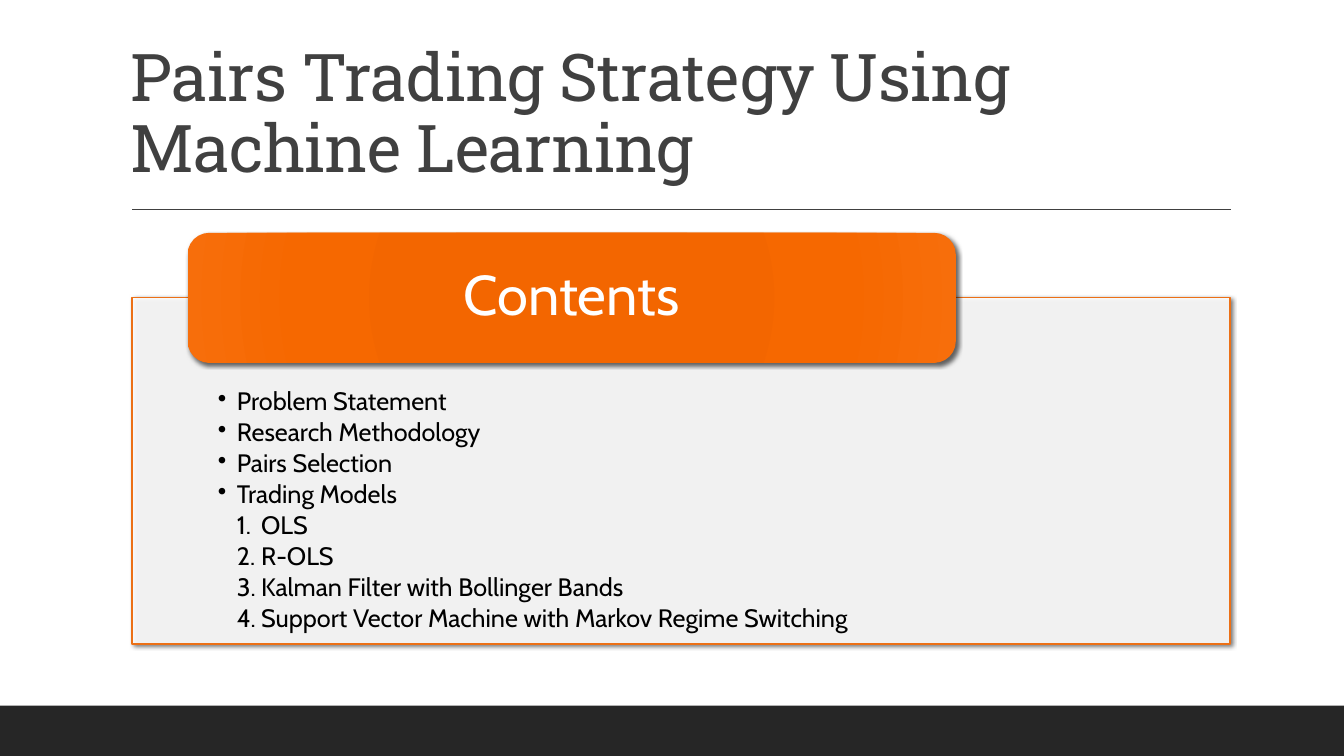
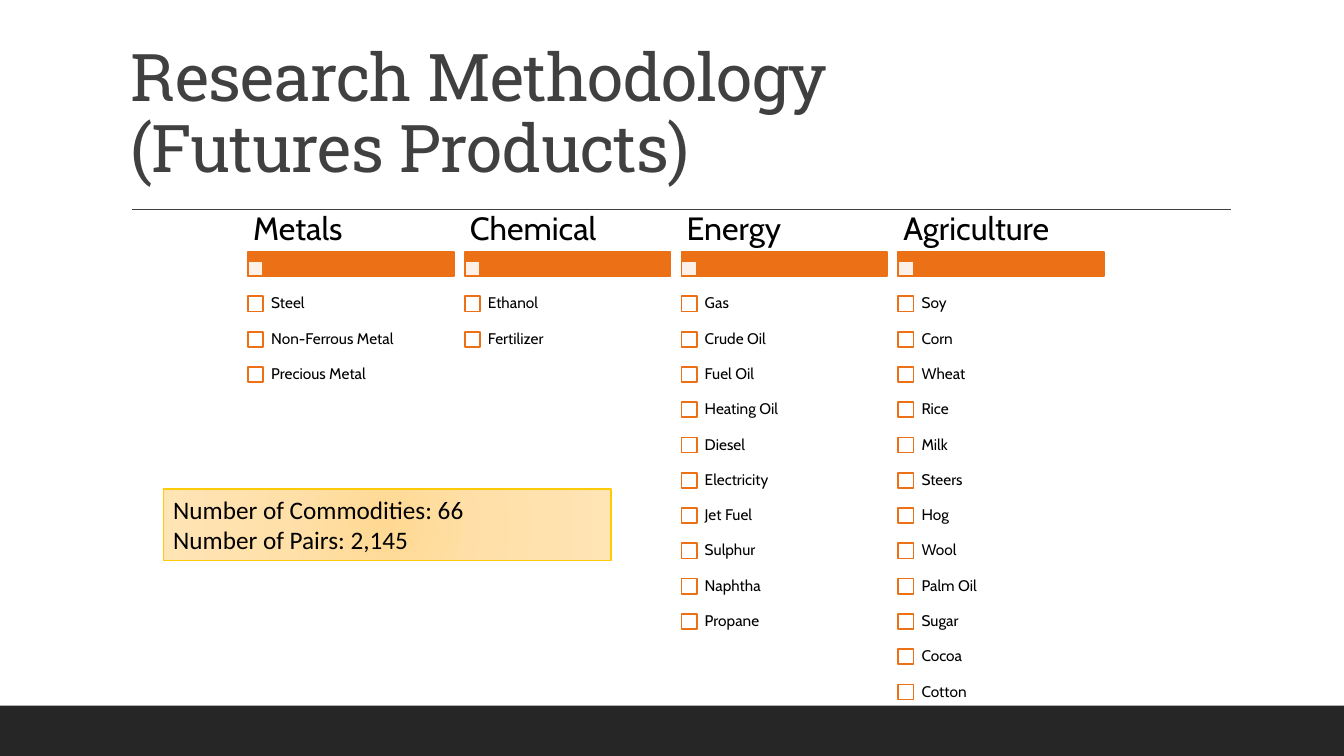
from dataclasses import dataclass

from lxml import etree
from pptx import Presentation
from pptx.dml.color import RGBColor
from pptx.enum.shapes import MSO_CONNECTOR, MSO_SHAPE
from pptx.enum.text import MSO_ANCHOR
from pptx.oxml.ns import qn
from pptx.util import Inches, Pt

RECT = MSO_SHAPE.RECTANGLE
ROUND = MSO_SHAPE.ROUNDED_RECTANGLE
STRAIGHT = MSO_CONNECTOR.STRAIGHT
TOP, MIDDLE, BOTTOM = MSO_ANCHOR.TOP, MSO_ANCHOR.MIDDLE, MSO_ANCHOR.BOTTOM


@dataclass(frozen=True)
class Theme:
    """Colours, fonts and type sizes of the deck."""
    white: str = "FFFFFF"
    black: str = "000000"
    band: str = "262626"
    title: str = "404040"
    accent: str = "EC7016"
    gold: str = "FFCA08"
    flame: tuple = ((0, "F06500"), (34, "F36600"), (70, "F66800"), (100, "F76E0B"))
    sand: tuple = ((0, "FFD993"), (45, "FFE0A9"), (100, "FFE4B4"))
    head_font: str = "Roboto Slab"
    body_font: str = "Cabin"
    note_font: str = "Calibri"
    title_size: int = 47
    label_size: int = 40
    group_size: int = 23
    body_size: int = 18
    item_size: int = 11


THEME = Theme()

TOPICS = ["Problem Statement", "Research Methodology", "Pairs Selection", "Trading Models"]
MODELS = ["OLS", "R-OLS", "Kalman Filter with Bollinger Bands",
          "Support Vector Machine with Markov Regime Switching"]
GOODS = {
    "Metals": ["Steel", "Non-Ferrous Metal", "Precious Metal"],
    "Chemical": ["Ethanol", "Fertilizer"],
    "Energy": ["Gas", "Crude Oil", "Fuel Oil", "Heating Oil", "Diesel", "Electricity",
               "Jet Fuel", "Sulphur", "Naphtha", "Propane"],
    "Agriculture": ["Soy", "Corn", "Wheat", "Rice", "Milk", "Steers", "Hog", "Wool",
                    "Palm Oil", "Sugar", "Cocoa", "Cotton"],
}


def add(parent, tag, **attrs):
    """Append a DrawingML child element and return it."""
    node = etree.SubElement(parent, qn(tag))
    for key, value in attrs.items():
        node.set(key, str(value))
    return node


def write(frame, text, font=THEME.body_font, size=THEME.body_size, color=THEME.black,
          anchor=TOP, inset=(0.1, 0.05, 0.1, 0.05), line=0.9, after=0, space=0):
    """Fill a text frame with one paragraph per line and return the paragraphs."""
    frame.word_wrap = True
    frame.vertical_anchor = anchor
    (frame.margin_left, frame.margin_top,
     frame.margin_right, frame.margin_bottom) = map(Inches, inset)
    paras = []
    for row in text.split("\n"):
        para = frame.add_paragraph() if paras else frame.paragraphs[0]
        para.text = row
        para.line_spacing = line
        para.space_after = Pt(after)
        for run in para.runs:
            run.font.name = font
            run.font.size = Pt(size)
            run.font.color.rgb = RGBColor.from_string(color)
            if space:
                run.font._element.set("spc", str(int(space * 100)))
        paras.append(para)
    return paras


def label(slide, text, box, **style):
    """Place a text box and return its paragraphs."""
    shape = slide.shapes.add_textbox(*map(Inches, box))
    return write(shape.text_frame, text, **style)


def block(slide, box, fill, kind=RECT, edge=None, width=1.25, alpha=None, shade=False):
    """Draw a filled shape with an optional edge, opacity in percent and shadow."""
    shape = slide.shapes.add_shape(kind, *map(Inches, box))
    shape.shadow.inherit = False
    shape.fill.solid()
    props = shape._element.spPr
    if isinstance(fill, tuple):
        blend(props, fill)
    else:
        shape.fill.fore_color.rgb = RGBColor.from_string(fill)
    if alpha:
        add(props.find(qn("a:solidFill"))[0], "a:alpha", val=alpha * 1000)
    if edge:
        shape.line.color.rgb = RGBColor.from_string(edge)
        shape.line.width = Pt(width)
    else:
        shape.line.fill.background()
    if shade:
        drop = add(props.find(qn("a:effectLst")), "a:outerShdw", blurRad=Pt(3),
                   dist=Pt(2), dir=45 * 60000, algn="ctr", rotWithShape=0)
        tint = add(drop, "a:srgbClr", val=THEME.black)
        add(tint, "a:alpha", val=60000)
    return shape


def blend(props, stops):
    """Swap the solid fill for a circular gradient."""
    grad = etree.Element(qn("a:gradFill"), rotWithShape="1")
    ramp = add(grad, "a:gsLst")
    for place, color in stops:
        add(add(ramp, "a:gs", pos=place * 1000), "a:srgbClr", val=color)
    way = add(grad, "a:path", path="circle")
    add(way, "a:fillToRect", **dict.fromkeys("ltrb", 100000))
    props.replace(props.find(qn("a:solidFill")), grad)


def bullet(para, left, hang, tag, **attrs):
    """Give a paragraph a hanging bullet or number."""
    props = para._p.get_or_add_pPr()
    props.set("marL", str(Inches(left)))
    props.set("indent", str(-Inches(hang)))
    add(props, tag, **attrs)


def start(deck, title):
    """Add a slide with the shared band, rule and title."""
    slide = deck.slides.add_slide(deck.slide_layouts[6])
    block(slide, (0, 7, 13.33, 0.5), THEME.band)
    rule = slide.shapes.add_connector(STRAIGHT, *map(Inches, (1.31, 2.08, 12.21, 2.08)))
    rule.line.color.rgb = RGBColor.from_string(THEME.title)
    rule.line.width = Pt(1)
    add(rule._element.spPr, "a:effectLst")
    label(slide, title, (1.2, 0.31, 11, 1.59), font=THEME.head_font,
          size=THEME.title_size, color=THEME.title, anchor=BOTTOM, space=-0.5)
    return slide


def agenda(deck):
    """Build the contents slide."""
    slide = start(deck, "Pairs Trading Strategy Using Machine Learning")
    panel = (1.31, 2.95, 10.89, 3.44)
    block(slide, panel, THEME.white, edge=THEME.accent, width=1, alpha=90, shade=True)
    paras = label(slide, "\n".join(TOPICS + MODELS), panel,
                  inset=(0.85, 0.91, 0.85, 0.14), after=2.7)
    for para in paras[:len(TOPICS)]:
        bullet(para, 0.19, 0.19, "a:buChar", char="•")
    for para in paras[len(TOPICS):]:
        bullet(para, 0.43, 0.24, "a:buAutoNum", type="arabicPeriod")
    tab = block(slide, (1.86, 2.31, 7.62, 1.29), THEME.flame, kind=ROUND, shade=True)
    write(tab.text_frame, "Contents", size=THEME.label_size, color=THEME.white,
          anchor=MIDDLE, inset=(0.29, 0, 0.29, 0))


def column(slide, left, name, items):
    """Draw one product group with its checklist."""
    wide, box, step = 2.04, 0.15, 0.35
    block(slide, (left, 2.5, wide, 0.24), THEME.accent, edge=THEME.accent)
    block(slide, (left, 2.59, box, box), THEME.white, edge=THEME.accent, alpha=90)
    label(slide, name, (left, 2.07, wide, 0.43), size=THEME.group_size,
          anchor=MIDDLE, inset=(0.05, 0.03, 0.05, 0.03))
    for row, item in enumerate(items):
        top = 2.84 + row * step
        block(slide, (left, top + 0.1, box, box), THEME.white, edge=THEME.accent)
        label(slide, item, (left + 0.14, top, 1.9, step), size=THEME.item_size,
              anchor=MIDDLE, inset=(0.09,) * 4)


def method(deck):
    """Build the futures products slide."""
    slide = start(deck, "Research Methodology\v(Futures Products)")
    for index, (name, items) in enumerate(GOODS.items()):
        column(slide, 2.46 + index * 2.15, name, items)
    note = block(slide, (1.62, 4.85, 4.44, 0.71), THEME.sand, edge=THEME.gold, width=1)
    paras = write(note.text_frame, "Number of Commodities: 66\nNumber of Pairs: 2,145",
                  font=THEME.note_font, line=1.0)
    for para in paras:
        para._p.get_or_add_pPr().set("algn", "l")


def main():
    """Build and save the deck."""
    deck = Presentation()
    deck.slide_width, deck.slide_height = Inches(13.33), Inches(7.5)
    agenda(deck)
    method(deck)
    deck.save("out.pptx")


if __name__ == "__main__":
    main()
